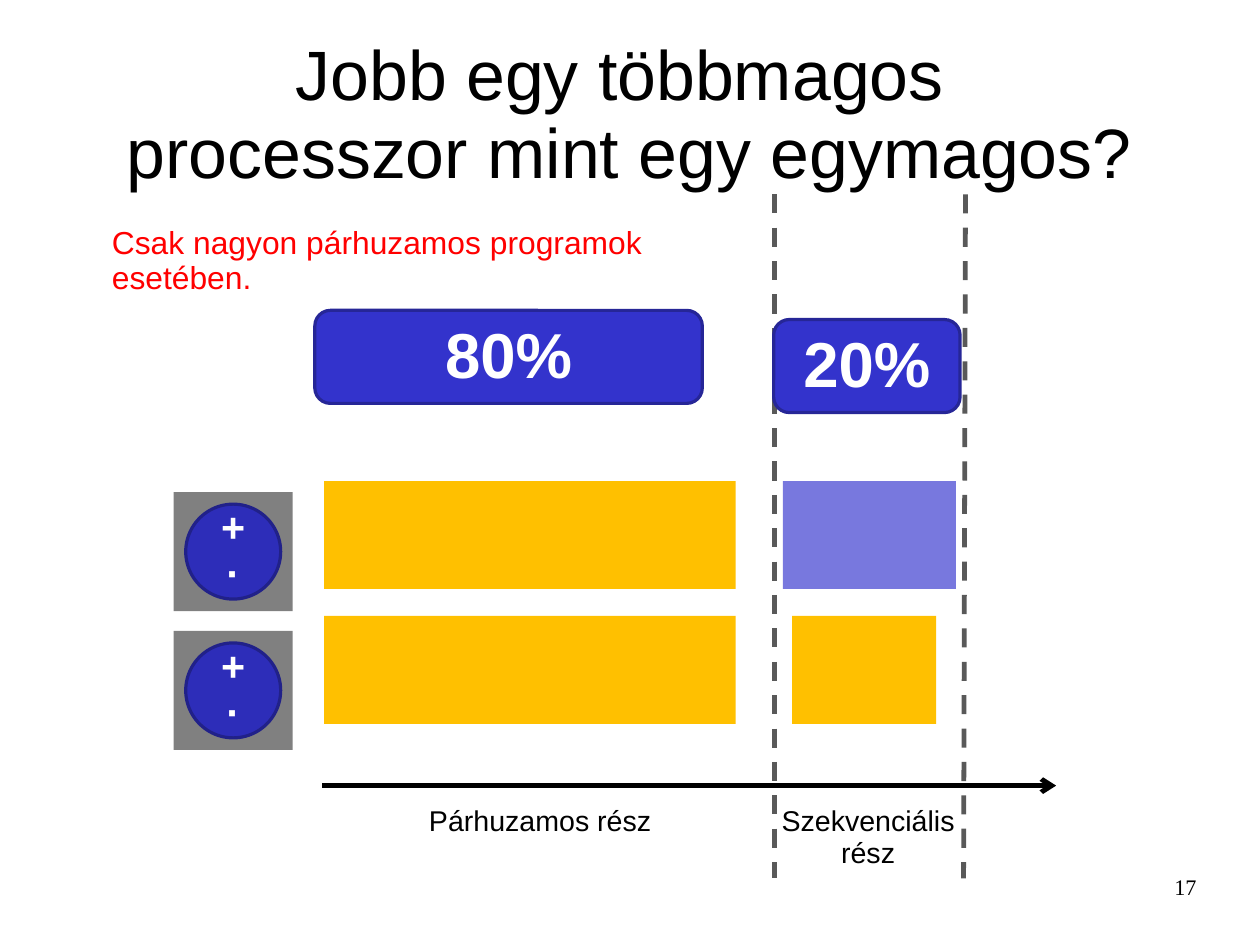
from lxml.etree import SubElement
from pptx import Presentation
from pptx.dml.color import RGBColor
from pptx.enum.dml import MSO_LINE
from pptx.enum.shapes import MSO_CONNECTOR, MSO_SHAPE
from pptx.enum.text import MSO_ANCHOR, PP_ALIGN
from pptx.oxml.ns import qn
from pptx.util import Pt

BLACK = RGBColor(0x00, 0x00, 0x00)
WHITE = RGBColor(0xFF, 0xFF, 0xFF)
RED = RGBColor(0xFF, 0x00, 0x00)
GRAY = RGBColor(0x80, 0x80, 0x80)
DASH_GRAY = RGBColor(0x59, 0x59, 0x59)
AMBER = RGBColor(0xFF, 0xC0, 0x00)
LILAC = RGBColor(0x78, 0x78, 0xDE)
BLUE = RGBColor(0x33, 0x33, 0xCC)
BLUE_EDGE = RGBColor(0x26, 0x26, 0x97)
CORE_BLUE = RGBColor(0x2D, 0x2D, 0xB9)
CORE_EDGE = RGBColor(0x21, 0x21, 0x89)

LABEL_INSETS = (7.9, 4.3)


def write(frame, lines, size, color=BLACK, bold=False, font="Arial",
          align=PP_ALIGN.CENTER, anchor=MSO_ANCHOR.TOP, insets=(7.2, 3.6), spacing=0.93):
    frame.word_wrap = True
    frame.vertical_anchor = anchor
    frame.margin_left = frame.margin_right = Pt(insets[0])
    frame.margin_top = frame.margin_bottom = Pt(insets[1])
    paragraph = frame.paragraphs[0]
    paragraph.alignment = align
    paragraph.line_spacing = spacing
    for index, line in enumerate(lines):
        if index:
            paragraph.add_line_break()
        run = paragraph.add_run()
        run.text = line
        run.font.name = font
        run.font.size = Pt(size)
        run.font.bold = bold
        run.font.color.rgb = color
    return paragraph


def add_label(shapes, box, text, size, **style):
    label = shapes.add_textbox(*map(Pt, box))
    return write(label.text_frame, [text], size, **style)


def add_block(shapes, kind, box, fill, edge=None):
    block = shapes.add_shape(kind, *map(Pt, box))
    block.shadow.inherit = False
    block.fill.solid()
    block.fill.fore_color.rgb = fill
    if edge is None:
        block.line.fill.background()
    else:
        block.line.color.rgb = edge
        block.line.width = Pt(2)
    return block


def add_line(shapes, start, end, color):
    line = shapes.add_connector(MSO_CONNECTOR.STRAIGHT, *map(Pt, (*start, *end)))
    line.line.color.rgb = color
    line.line.width = Pt(3)
    SubElement(line._element.spPr, qn("a:effectLst"))
    return line


def add_heading(slide, box):
    title = slide.shapes.title
    title.left, title.top, title.width, title.height = map(Pt, box)
    write(title.text_frame, ["Jobb egy többmagos ", "processzor mint egy egymagos?"], 44,
          anchor=MSO_ANCHOR.MIDDLE, insets=(0, 0))


def add_time_axis(shapes, box):
    left, top, width, height = box
    bottom = top + height
    # Borders of the sequential part
    for upper, lower in ((487.8, 487.8), (608.2, 607)):
        border = add_line(shapes, (upper, top), (lower, bottom), DASH_GRAY)
        border.line.dash_style = MSO_LINE.DASH
    # Time arrow
    axis_y = bottom - 58.5
    axis = add_line(shapes, (left, axis_y), (left + width, axis_y), BLACK)
    SubElement(axis.line._get_or_add_ln(), qn("a:tailEnd"), type="arrow")
    # Names of the parts
    for x, label_width, label_height, name in ((left - 6.4, 287.3, 28, "Párhuzamos rész"),
                                               (left + 281.2, 125.3, 49, "Szekvenciális rész")):
        add_label(shapes, (x, bottom - 50, label_width, label_height), name, 18,
                  insets=LABEL_INSETS)


def add_core(shapes, box):
    left, top, side, _ = box
    core = shapes.add_group_shape().shapes
    add_block(core, MSO_SHAPE.RECTANGLE, box, GRAY)
    gap = 7.6
    unit_box = (left + gap, top + gap, side - 2 * gap, side - 2 * gap)
    unit = add_block(core, MSO_SHAPE.OVAL, unit_box, CORE_BLUE, CORE_EDGE)
    write(unit.text_frame, ["+ ·"], 26, WHITE, bold=True, anchor=MSO_ANCHOR.MIDDLE)


def add_share(shapes, box, share):
    badge = add_block(shapes, MSO_SHAPE.ROUNDED_RECTANGLE, box, BLUE, BLUE_EDGE)
    write(badge.text_frame, [share], 40, WHITE, bold=True, insets=LABEL_INSETS)


def add_workload(shapes, box, sequential):
    left, top, parallel_width, height = box
    add_block(shapes, MSO_SHAPE.RECTANGLE, box, AMBER)
    offset, width, color = sequential
    add_block(shapes, MSO_SHAPE.RECTANGLE, (left + offset, top, width, height), color)


def main():
    prs = Presentation()
    prs.slide_width, prs.slide_height = Pt(793.7), Pt(595.28)
    slide = prs.slides.add_slide(prs.slide_layouts[5])
    shapes = slide.shapes

    # Heading and remark
    add_heading(slide, (39.6, 23.5, 714.2, 99.2))
    remark = add_label(shapes, (28.1, 138.9, 396.7, 52.6),
                       "Csak nagyon párhuzamos programok esetében.", 20,
                       color=RED, align=PP_ALIGN.LEFT)
    remark._p.get_or_add_pPr().set("marL", str(Pt(35.3)))

    add_time_axis(shapes, (203, 122.4, 462.3, 431))

    # Shares of the two parts
    add_share(shapes, (198.3, 195.5, 244.1, 58.6), "80%")
    add_share(shapes, (487.4, 201.3, 117.4, 58.6), "20%")

    # One row per core
    sequential_parts = ((289, 109, LILAC), (294.8, 90.7, AMBER))
    for row, sequential in enumerate(sequential_parts):
        add_core(shapes, (109.4, 310 + row * 87.4, 75, 75))
        add_workload(shapes, (204.2, 303 + row * 85, 259.2, 68), sequential)

    # Slide number
    add_label(shapes, (568.8, 550, 185, 31.7), "17", 14, font="Times New Roman",
              align=PP_ALIGN.RIGHT, insets=(0, 0), spacing=1.0)

    prs.save("out.pptx")


if __name__ == "__main__":
    main()
